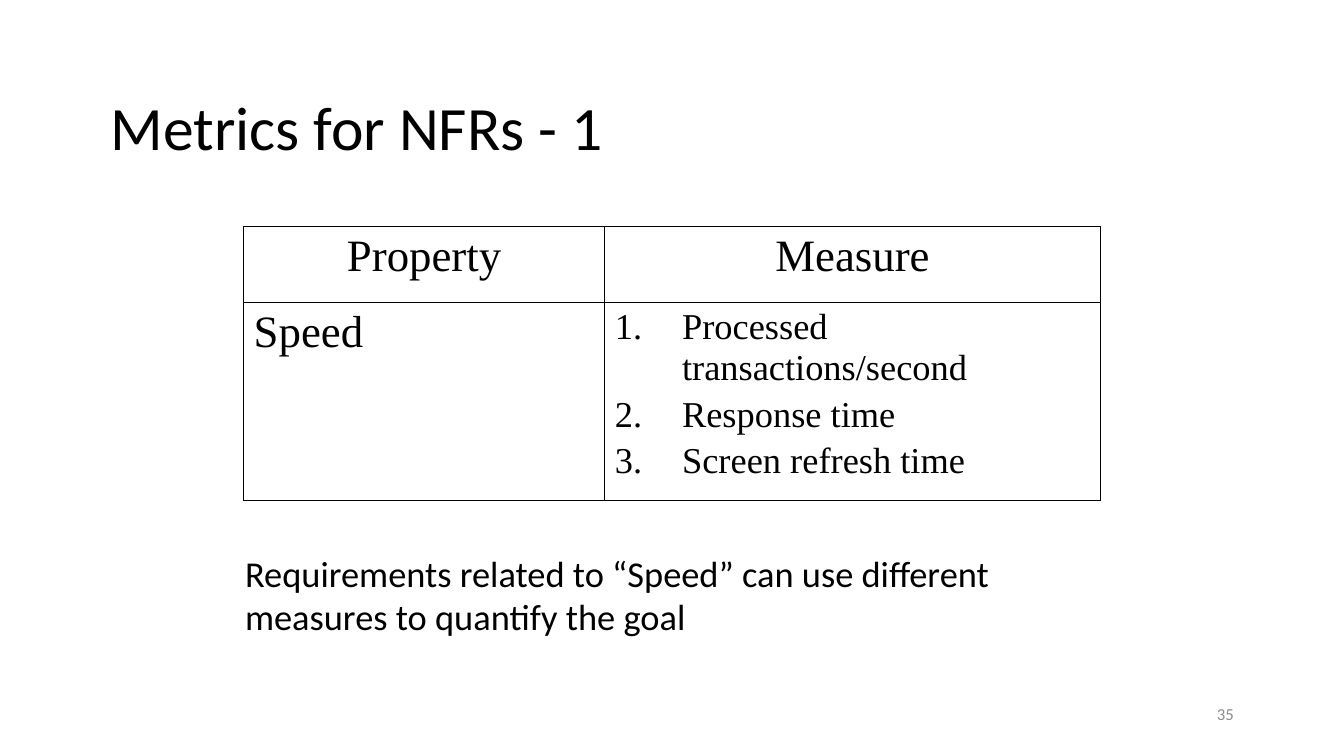
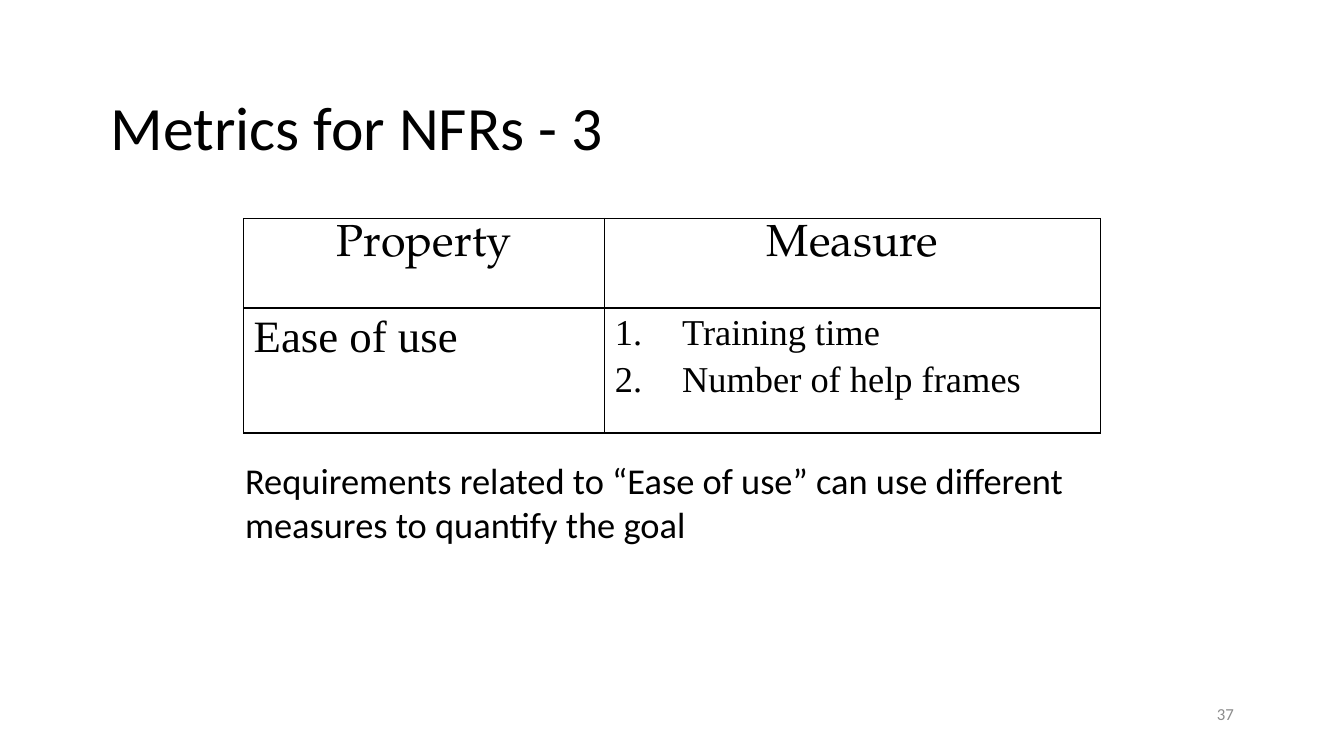
import pptx
import pptx.dml.color
import pptx.enum.text
import pptx.oxml
import pptx.util
import pptx.oxml.ns

Pt = pptx.util.Pt
Align = pptx.enum.text.PP_ALIGN
Anchor = pptx.enum.text.MSO_ANCHOR


def colour(code):
    return pptx.dml.color.RGBColor.from_string(code)


def drawing_xml(tag, attributes="", content=""):
    namespace = pptx.oxml.ns.nsdecls("a")
    return pptx.oxml.parse_xml(f"<a:{tag} {namespace} {attributes}>{content}</a:{tag}>")


class MetricsDeck:
    COLUMNS, ROWS = 80, 45
    INK, MUTED = "000000", "8C8C8C"
    SANS, SERIF = "Calibri", "Times New Roman"
    HEADING_SIZE, BODY_SIZE = 32, 26
    TABLE_COLUMNS = 21.5, 29.5

    def __init__(self):
        self.deck = pptx.Presentation()
        self.deck.slide_width = pptx.util.Inches(13.33)
        self.deck.slide_height = pptx.util.Inches(7.5)
        self.page = None

    def across(self, columns):
        return round(self.deck.slide_width * columns / self.COLUMNS)

    def down(self, rows):
        return round(self.deck.slide_height * rows / self.ROWS)

    def place(self, left, top, width, height):
        return self.across(left), self.down(top), self.across(width), self.down(height)

    def new_page(self, title, number):
        self.page = self.deck.slides.add_slide(self.deck.slide_layouts[6])
        self.text(str(number), (57.36, 41, 16.68, 3), 12, self.MUTED, Align.RIGHT, Anchor.MIDDLE)
        heading = self.text(title, (6, 4, 68, 7.5), 44, anchor=Anchor.MIDDLE)
        heading.text_frame.paragraphs[0].line_spacing = 0.9

    def style(self, para, size, font, ink=INK, align=Align.LEFT):
        para.alignment = align
        for span in para.runs:
            span.font.name = font
            span.font.size = Pt(size)
            span.font.bold = False
            span.font.color.rgb = colour(ink)

    def text(self, words, place, size, ink=INK, align=Align.LEFT, anchor=Anchor.TOP):
        box = self.page.shapes.add_textbox(*self.place(*place))
        frame = box.text_frame
        frame.word_wrap = True
        frame.vertical_anchor = anchor
        frame.text = words
        self.style(frame.paragraphs[0], size, self.SANS, ink, align)
        return box

    def number(self, para):
        properties = para._p.get_or_add_pPr()
        indent = self.across(4)
        properties.set("marL", str(indent))
        properties.set("indent", str(-indent))
        properties.append(drawing_xml("buAutoNum", 'type="arabicPeriod"'))

    def border(self, cell):
        properties = cell._tc.get_or_add_tcPr()
        paint = f'<a:solidFill><a:srgbClr val="{self.INK}"/></a:solidFill>'
        for side in "LRTB":
            properties.append(drawing_xml(f"ln{side}", f'w="{Pt(1)}"', paint))
        cell.fill.background()

    def cell(self, cell, words, size, font, align=Align.LEFT, numbered=False):
        self.border(cell)
        cell.text_frame.text = words
        for para in cell.text_frame.paragraphs:
            self.style(para, size, font, align=align)
            para.space_before = Pt(size * 0.18)
            if numbered:
                self.number(para)

    def metrics_table(self, top, heights, goal, measures, heading_font):
        place = self.place(14.5, top, sum(self.TABLE_COLUMNS), sum(heights))
        table = self.page.shapes.add_table(2, 2, *place).table
        table.first_row = table.horz_banding = False
        for column, width in zip(table.columns, self.TABLE_COLUMNS):
            column.width = self.across(width)
        for row, height in zip(table.rows, heights):
            row.height = self.down(height)
        for index, heading in enumerate(("Property", "Measure")):
            self.cell(table.cell(0, index), heading, self.HEADING_SIZE, heading_font, Align.CENTER)
        self.cell(table.cell(1, 0), goal, self.HEADING_SIZE, self.SERIF)
        self.cell(table.cell(1, 1), "\n".join(measures), self.BODY_SIZE, self.SERIF, numbered=True)

    def caption(self, goal, top):
        words = f"Requirements related to “{goal}” can use different measures to quantify the goal"
        self.text(words, (14, top, 52, 5.8), self.BODY_SIZE)


def main():
    metrics = MetricsDeck()

    metrics.new_page("Metrics for NFRs - 1", 35)
    measures = "Processed transactions/second", "Response time", "Screen refresh time"
    metrics.metrics_table(13.5, (4.5, 11), "Speed", measures, metrics.SERIF)
    metrics.caption("Speed", 32.5)

    metrics.new_page("Metrics for NFRs - 3", 37)
    measures = "Training time", "Number of help frames"
    metrics.metrics_table(13, (5.33, 7.45), "Ease of use", measures, "TeX Gyre Pagella")
    metrics.caption("Ease of use", 27)

    metrics.deck.save("out.pptx")


if __name__ == "__main__":
    main()
